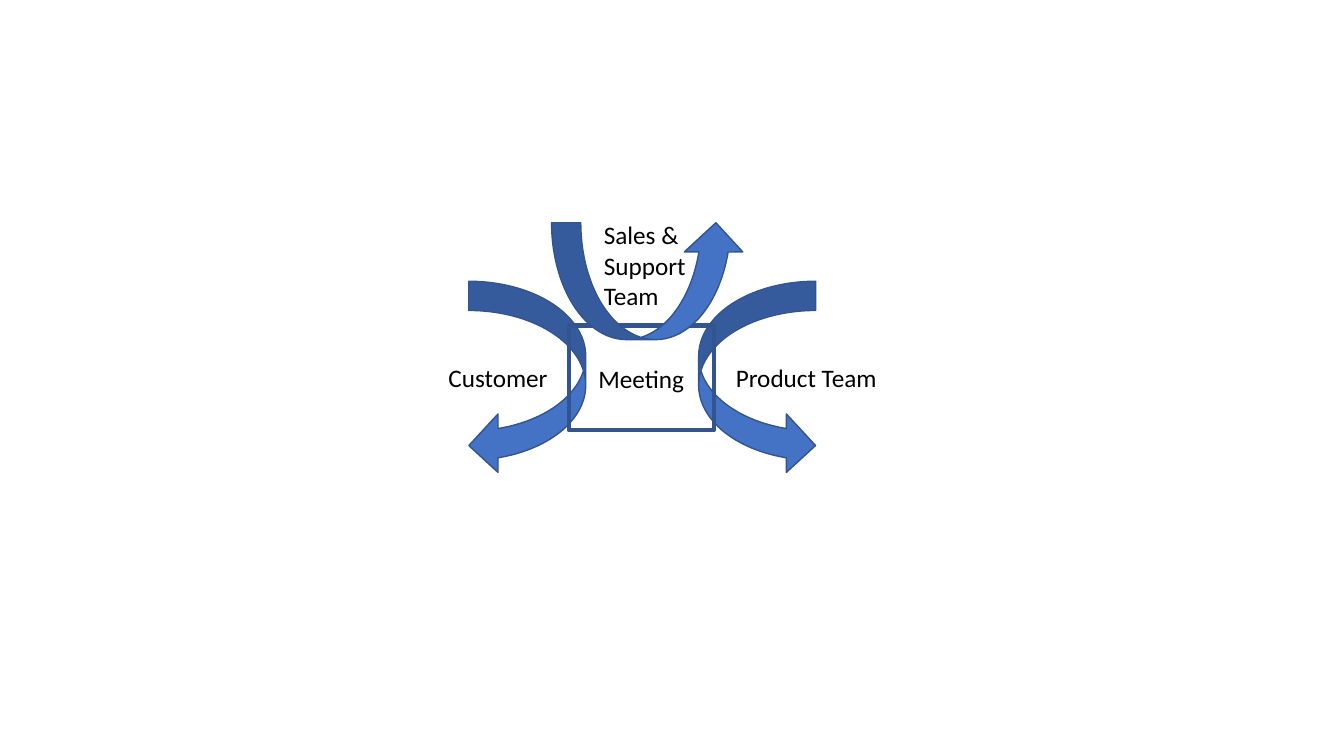
from pptx import Presentation
from pptx.dml.color import RGBColor
from pptx.enum.shapes import MSO_SHAPE as Shape
from pptx.enum.text import MSO_ANCHOR as Anchor, MSO_AUTO_SIZE as AutoSize, PP_ALIGN as Align
from pptx.util import Inches, Pt

ARROW_BLUE = RGBColor(0x44, 0x72, 0xC4)
OUTLINE_BLUE = RGBColor(0x32, 0x54, 0x91)
BLACK = RGBColor(0, 0, 0)

ARROW_WIDTH, ARROW_HEIGHT = 1.16, 1.92


def write_lines(frame, lines, align):
    """Write the lines as one paragraph, parted by line breaks."""
    paragraph = frame.paragraphs[0]
    paragraph.alignment = align
    for index, line in enumerate(lines):
        if index:
            paragraph.add_line_break()
        run = paragraph.add_run()
        run.text = line
        run.font.name = "Calibri"
        run.font.size = Pt(18)
        run.font.color.rgb = BLACK


def add_outlined_shape(slide, kind, left, top, width, height, line_width):
    shape = slide.shapes.add_shape(
        kind, Inches(left), Inches(top), Inches(width), Inches(height))
    shape.shadow.inherit = False
    shape.line.color.rgb = OUTLINE_BLUE
    shape.line.width = Pt(line_width)
    return shape


def add_curved_arrow(slide, left, top, mirrored=False, rotation=0):
    arrow = add_outlined_shape(
        slide, Shape.CURVED_LEFT_ARROW, left, top, ARROW_WIDTH, ARROW_HEIGHT, 1)
    arrow.fill.solid()
    arrow.fill.fore_color.rgb = ARROW_BLUE
    arrow.rotation = rotation
    if mirrored:
        arrow.element.spPr.xfrm.set("flipH", "1")


def add_meeting_box(slide):
    meeting = add_outlined_shape(slide, Shape.RECTANGLE, 5.64, 3.23, 1.44, 1.04, 3)
    meeting.fill.background()
    meeting.text_frame.vertical_anchor = Anchor.MIDDLE
    write_lines(meeting.text_frame, ["Meeting"], Align.CENTER)


def add_label(slide, lines, left, top, width, height, align=Align.LEFT):
    label = slide.shapes.add_textbox(
        Inches(left), Inches(top), Inches(width), Inches(height))
    frame = label.text_frame
    frame.word_wrap = False
    frame.auto_size = AutoSize.SHAPE_TO_FIT_TEXT
    write_lines(frame, lines, align)


def main():
    deck = Presentation()
    deck.slide_width, deck.slide_height = Inches(13.33), Inches(7.5)
    slide = deck.slides.add_slide(deck.slide_layouts[6])

    add_curved_arrow(slide, 4.65, 2.79)
    add_curved_arrow(slide, 6.93, 2.79, mirrored=True)
    add_meeting_box(slide)
    add_label(slide, ["Customer"], 4.33, 3.55, 1.2, 0.4, Align.RIGHT)
    add_label(slide, ["Product Team"], 7.2, 3.55, 1.61, 0.4)
    add_curved_arrow(slide, 5.85, 1.83, mirrored=True, rotation=270)
    add_label(slide, ["Sales &", "Support ", "Team"], 5.89, 2.13, 1.08, 1.01)

    deck.save("out.pptx")


if __name__ == "__main__":
    main()
